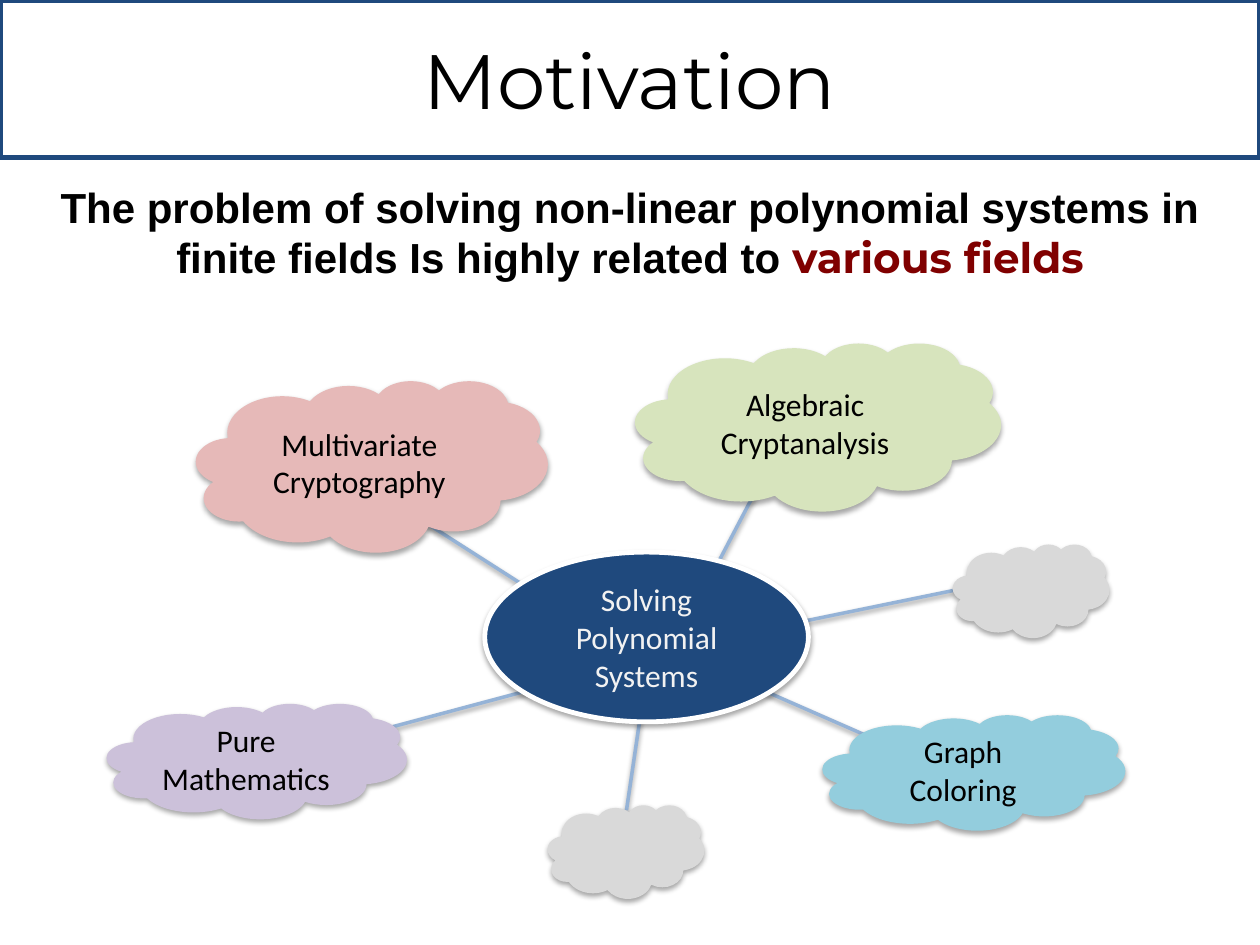
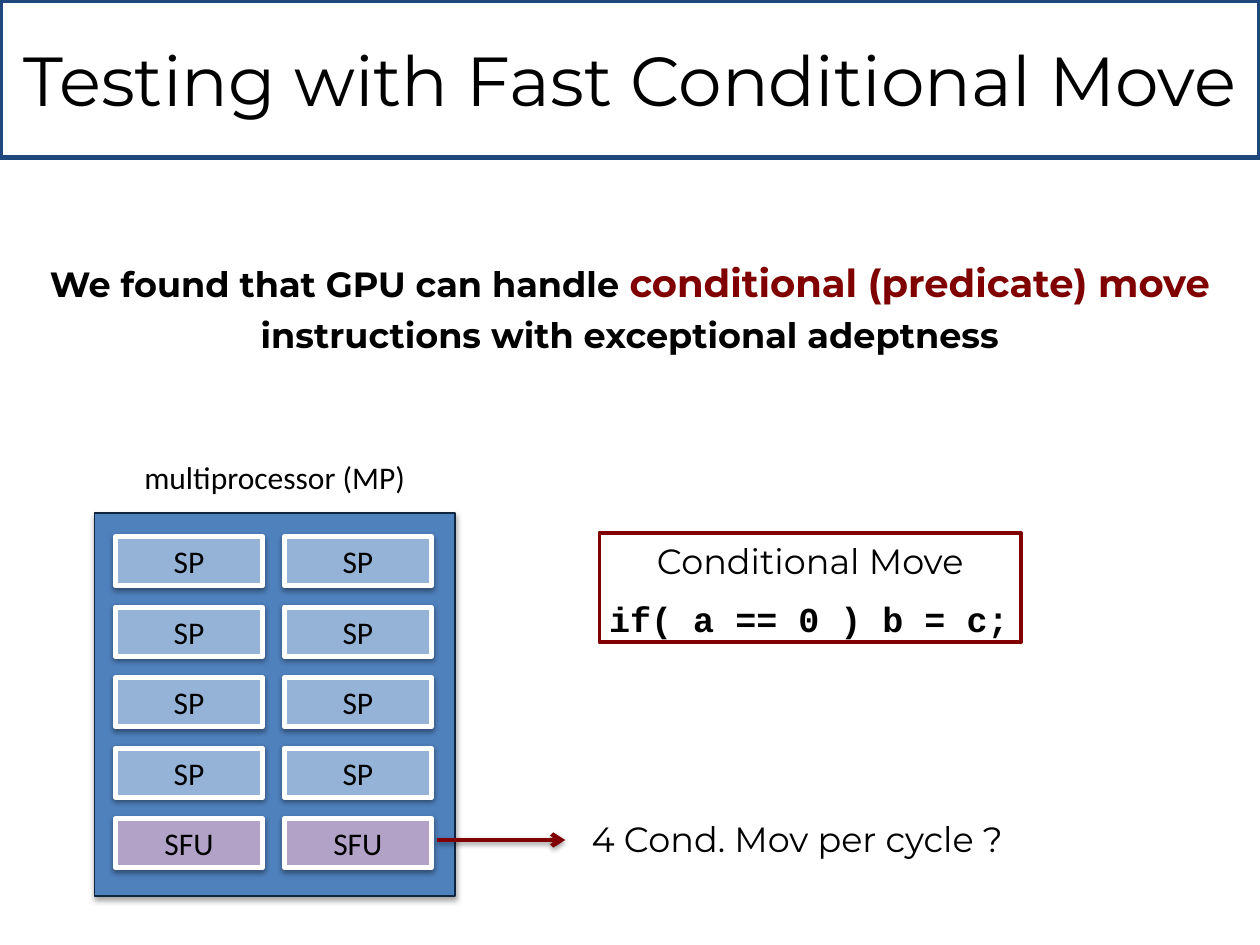
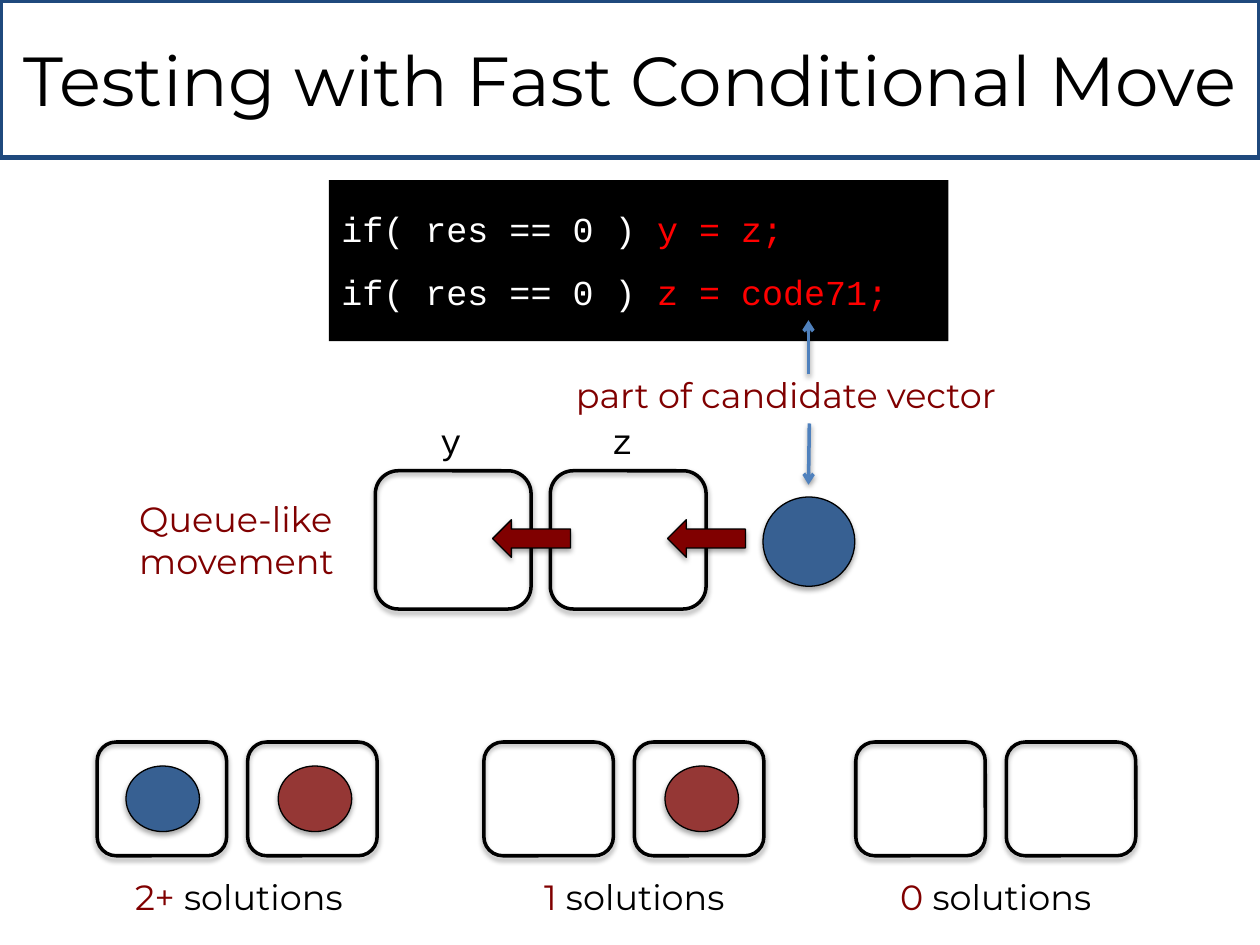
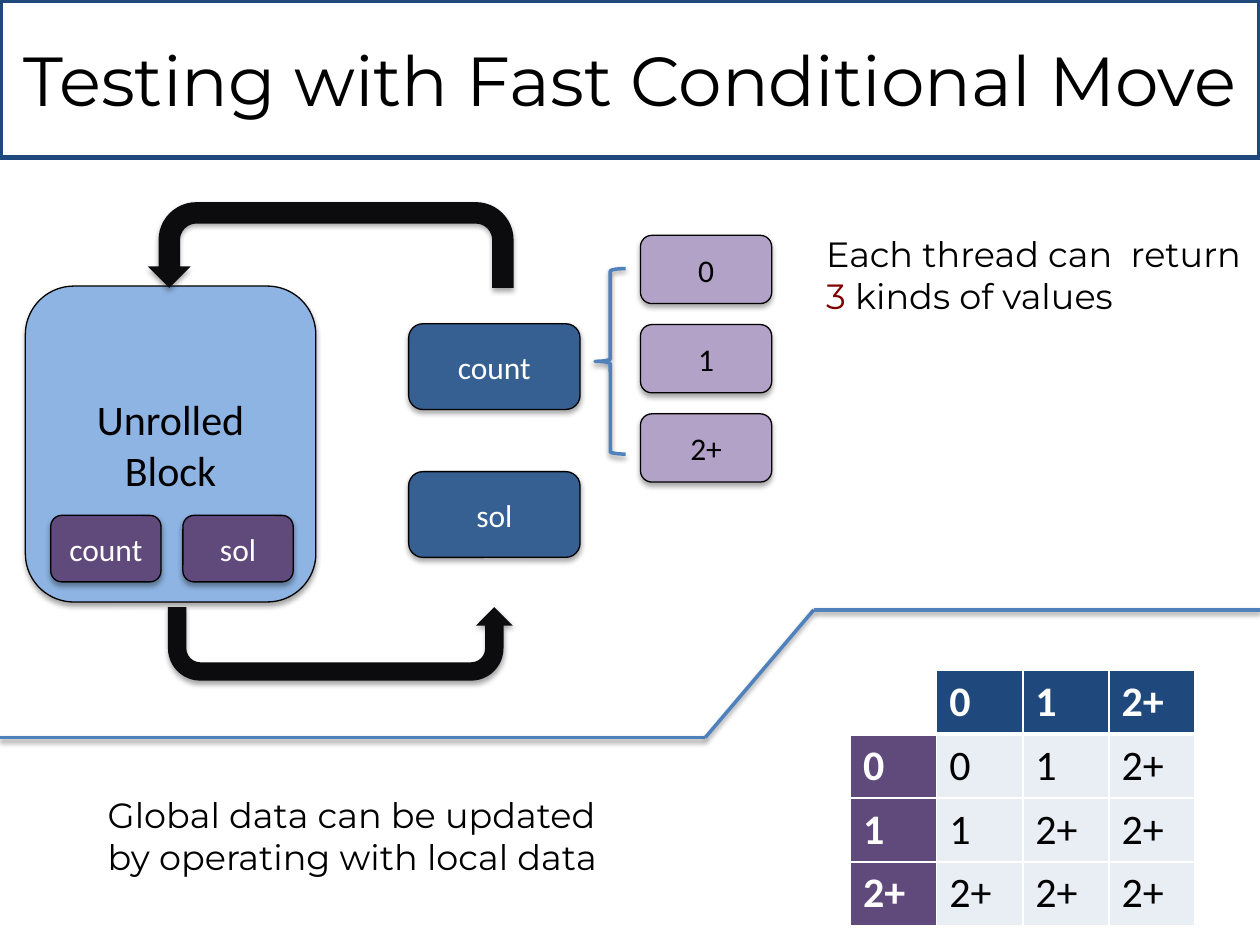
from lxml import etree
from pptx import Presentation
from pptx.dml.color import RGBColor
from pptx.enum.shapes import MSO_CONNECTOR, MSO_SHAPE
from pptx.enum.text import MSO_ANCHOR, PP_ALIGN
from pptx.oxml.ns import qn
from pptx.util import Pt

RECT, ROUND = MSO_SHAPE.RECTANGLE, MSO_SHAPE.ROUNDED_RECTANGLE
OVAL, CLOUD = MSO_SHAPE.OVAL, MSO_SHAPE.CLOUD
LEFT_ARROW, UTURN = MSO_SHAPE.LEFT_ARROW, MSO_SHAPE.U_TURN_ARROW
BRACE, STRAIGHT = MSO_SHAPE.LEFT_BRACE, MSO_CONNECTOR.STRAIGHT
TOP, MIDDLE = MSO_ANCHOR.TOP, MSO_ANCHOR.MIDDLE
LEFT, CENTER = PP_ALIGN.LEFT, PP_ALIGN.CENTER

# Shared colours
BLACK, WHITE, NAVY, MAROON = "000000", "FFFFFF", "1F497D", "800000"
BLUE, MID_BLUE, PALE_BLUE = "4F81BD", "376092", "95B3D7"
LILAC, PURPLE, BRICK, GREY = "B3A2C7", "604A7B", "953735", "D9D9D9"

# Shared text formats
BODY = {"name": "Montserrat", "size": Pt(20), "color": BLACK}
LABEL = {"name": "Calibri", "size": Pt(18), "color": BLACK}
CODE = {"name": "Courier New", "size": Pt(20), "color": BLACK}
RED = {"color": MAROON}
ON_DARK = LABEL | {"color": WHITE}

# Shadow opacity in percent and distance in points
SHAPE_SHADOW, LINE_SHADOW = (35, 1.8), (38, 1.6)


def rgb(value):
    return RGBColor.from_string(value)


def sub(parent, tag, **attrs):
    return etree.SubElement(parent, qn(tag), {k: str(v) for k, v in attrs.items()})


def cast_shadow(shape, look):
    """Call after the line is set, so that the effects follow it."""
    alpha, dist = look
    effects = sub(shape._element.spPr, "a:effectLst")
    shadow = sub(effects, "a:outerShdw", blurRad=Pt(3.1), dist=Pt(dist),
                 dir=5400000, rotWithShape=0)
    sub(sub(shadow, "a:srgbClr", val=BLACK), "a:alpha", val=alpha * 1000)


def set_font(font, fmt):
    for key, value in fmt.items():
        if key == "color":
            font.color.rgb = rgb(value)
        else:
            setattr(font, key, value)


def write(tf, paras, fmt, align=CENTER, anchor=MIDDLE, spacing=None):
    """paras is a text, or a list of paragraphs made of (text, changes) runs."""
    if isinstance(paras, str):
        paras = [[(paras, {})]]
    tf.word_wrap, tf.vertical_anchor = True, anchor
    for i, runs in enumerate(paras):
        p = tf.add_paragraph() if i else tf.paragraphs[0]
        p.alignment = align
        if spacing:
            p.line_spacing = spacing
        for text, changes in runs:
            r = p.add_run()
            r.text = text
            set_font(r.font, fmt | changes)


def at(box, left, top, width, height):
    """Place a part relative to the left top corner of a box."""
    return box[0] + left, box[1] + top, width, height


def add_text(s, box, paras, fmt=BODY, align=LEFT, spacing=None):
    sp = s.shapes.add_textbox(*map(Pt, box))
    write(sp.text_frame, paras, fmt, align, TOP, spacing)


def add_part(s, kind, box, fill=None, line=None, weight=0.75, text=None,
             fmt=LABEL, shadow=SHAPE_SHADOW, **layout):
    sp = s.shapes.add_shape(kind, *map(Pt, box))
    if fill:
        sp.fill.solid()
        sp.fill.fore_color.rgb = rgb(fill)
    else:
        sp.fill.background()
    if line:
        sp.line.color.rgb = rgb(line)
        sp.line.width = Pt(weight)
    else:
        sp.line.fill.background()
    if shadow:
        cast_shadow(sp, shadow)
    else:
        sp.shadow.inherit = False
    if text:
        write(sp.text_frame, text, fmt, **layout)
    return sp


def add_line(s, box, start, end, color=BLUE, weight=2, arrow=False):
    x, y = box[:2]
    ends = (x + start[0], y + start[1], x + end[0], y + end[1])
    cn = s.shapes.add_connector(STRAIGHT, *map(Pt, ends))
    cn.line.color.rgb = rgb(color)
    cn.line.width = Pt(weight)
    if arrow:
        sub(cn.line._get_or_add_ln(), "a:tailEnd", type="arrow")
    cast_shadow(cn, LINE_SHADOW)


def new_slide(prs, title, size):
    s = prs.slides.add_slide(prs.slide_layouts[6])
    add_part(s, RECT, (0, 0, 720, 90), line=NAVY, weight=3, text=title,
             fmt=BODY | {"size": Pt(size)}, shadow=None)
    return s


# Motivation: hub with clouds
def topic_map(s, box):
    spokes = [((379, 69), (341, 141.5)), ((171, 95.5), (243, 141.5)),
              ((127, 229), (243, 198)), ((483.5, 246), (374, 198)),
              ((483.5, 141.5), (352, 168.5)), ((308.5, 189), (297, 267))]
    for start, end in spokes:
        add_line(s, box, start, end, PALE_BLUE)
    clouds = [("Multivariate Cryptography", "E6B9B8", (51, 21.5, 201, 98)),
              ("Algebraic Cryptanalysis", "D7E4BD", (302, 0, 209, 96)),
              ("Graph Coloring", "93CDDD", (409, 212.5, 173, 66)),
              ("Pure Mathematics", "CCC1DA", (0, 206, 171.5, 66)),
              (None, GREY, (252, 264, 89.5, 53.5)),
              (None, GREY, (483.5, 115, 89.5, 53.5))]
    for text, fill, place in clouds:
        add_part(s, CLOUD, at(box, *place), fill, text=text)
    add_part(s, OVAL, at(box, 216, 119.5, 185, 97), NAVY, WHITE, 2.75,
             "Solving Polynomial Systems", LABEL | {"color": "F2F2F2"})


def motivation_slide(prs):
    s = new_slide(prs, "Motivation", 44)
    add_text(s, (0, 100, 720, 65.5), [[
        ("The problem of solving non-linear polynomial systems in finite fields "
         "Is highly related to ", {"name": "Arial"}),
        ("various fields", RED)]], BODY | {"size": Pt(24), "bold": True}, CENTER)
    topic_map(s, (61, 196, 582, 318))


# Conditional move: processor grid and instruction
def multiprocessor(s, box):
    add_text(s, at(box, 0, -35, 206, 29), "multiprocessor (MP)", LABEL, CENTER)
    add_part(s, RECT, box, BLUE, "0F243E", 1)
    for row in range(5):
        name, fill = ("SFU", LILAC) if row == 4 else ("SP", PALE_BLUE)
        for col in range(2):
            add_part(s, RECT, at(box, 12 + 96.5 * col, 13.7 + 40.3 * row, 84, 28),
                     fill, WHITE, 3, name, shadow=LINE_SHADOW)
    add_line(s, box, (196, 187), (269, 187), MAROON, 2.5, arrow=True)
    add_text(s, at(box, 277, 170.5, 344, 32), "4 Cond. Mov per cycle ?")


def instruction(s, box):
    add_part(s, RECT, at(box, -1.5, 21.5, 250, 42), WHITE, text="if( a == 0 ) b = c;",
             fmt=CODE | {"bold": True}, shadow=None, align=LEFT, anchor=TOP, spacing=1.5)
    add_part(s, RECT, box, line=MAROON, weight=2, text="Conditional Move",
             fmt=BODY, shadow=None, anchor=TOP)


def instruction_slide(prs, title):
    s = new_slide(prs, title, 39.6)
    add_text(s, (0, 139, 720, 68), [[
        ("We found that GPU can handle ", {}),
        ("conditional (predicate) move ", RED | {"size": Pt(22)}),
        ("instructions with exceptional adeptness", {})]],
        BODY | {"bold": True}, CENTER, 1.2)
    multiprocessor(s, (54, 293, 206, 219))
    instruction(s, (342.5, 304.5, 241, 62.5))


# Queue: code, movement and outcomes
def code_block(s, box):
    lines = [[("if( res == 0 ) ", {}), (result, {"color": "FF0000"})]
             for result in ("y = z;", "z = code71;")]
    add_part(s, RECT, box, BLACK, text=lines, fmt=CODE | {"color": WHITE},
             shadow=None, align=LEFT, anchor=TOP, spacing=1.5)
    add_text(s, at(box, 134, 107, 358, 32), "part of candidate vector", BODY | RED)
    add_line(s, box, (274, 111), (274, 80), arrow=True)
    add_line(s, box, (274.5, 139), (274, 174), arrow=True)


def queue(s, box):
    for i, name in enumerate("yz"):
        add_part(s, ROUND, at(box, 100 * i, 0, 89, 79), line=BLACK, weight=2)
        add_text(s, at(box, 30 + 98 * i, -33, 60, 32), name, CODE)
    for i in range(2):
        add_part(s, LEFT_ARROW, at(box, 67 + 100 * i, 28, 44.5, 21.5), MAROON, BLACK)
    add_part(s, OVAL, at(box, 221.5, 15, 52.5, 51), MID_BLUE, BLACK)
    add_text(s, at(box, -142, 12, 158, 55.5),
             [[("Queue-like", {})], [("movement", {})]], BODY | RED)


def outcome(s, box, count, slots, label_left):
    for i, fill in enumerate(slots):
        add_part(s, ROUND, at(box, 86 * i, 0, 74, 65), line=BLACK, weight=2)
        if fill:
            add_part(s, OVAL, at(box, 16.5 + 87 * i, 13.7, 42, 37.5), fill, BLACK)
    add_text(s, at(box, label_left, 73, 179, 32),
             [[(count + " ", RED), ("solutions", {})]], align=CENTER)


def queue_slide(prs, title):
    s = new_slide(prs, title, 39.6)
    code_block(s, (188, 103, 354, 92))
    queue(s, (214.5, 269, 274, 79))
    outcomes = [(55.5, "2+", (MID_BLUE, BRICK), -8.5),
                (276.5, "1", (None, BRICK), -3.5),
                (489, "0", (None, None), -9.5)]
    for left, count, slots, label_left in outcomes:
        outcome(s, (left, 424, 160, 65), count, slots, label_left)


# Local and global data: loop, return values and merge table
def unrolled_block(s, box):
    add_part(s, ROUND, box, "8EB4E3", BLACK, text="Unrolled Block",
             fmt=LABEL | {"size": Pt(24)})
    for i, name in enumerate(("count", "sol")):
        add_part(s, ROUND, at(box, 14.5 + 75.5 * i, 131, 63, 38), PURPLE, BLACK,
                 text=name, fmt=ON_DARK)
        add_part(s, ROUND, at(box, 219, 21.5 + 84.5 * i, 98, 49), MID_BLUE, BLACK,
                 text=name, fmt=ON_DARK)
    for flip, place in (("flipH", (70, -48, 209, 49)),
                        ("flipV", (81.5, 183.5, 197, 42))):
        arrow = add_part(s, UTURN, at(box, *place), "0C0C0E")
        arrow.adjustments[3], arrow.adjustments[4] = 0.44, 1
        arrow._element.spPr.find(qn("a:xfrm")).set(flip, "1")


def return_values(s, box):
    add_part(s, BRACE, at(box, -26, 19, 17.5, 106), line=BLUE, weight=2,
             shadow=LINE_SHADOW)
    for i, value in enumerate(("0", "1", "2+")):
        add_part(s, ROUND, at(box, 0, 51 * i, 75, 39), LILAC, BLACK, text=value)
    add_text(s, at(box, 99, -5, 255, 80), [[
        ("Each thread can  return ", {}), ("3", RED), (" kinds of values", {})]])


def set_border(cell, side, weight):
    ln = sub(cell._tc.get_or_add_tcPr(), "a:ln" + side, w=Pt(weight))
    sub(sub(ln, "a:solidFill"), "a:srgbClr", val=WHITE)


def merge_table(s, box):
    rows = [("", "0", "1", "2+"), ("0", "0", "1", "2+"),
            ("1", "1", "2+", "2+"), ("2+", "2+", "2+", "2+")]
    table = s.shapes.add_table(4, 4, *map(Pt, box)).table
    table.horz_banding = table.first_row = False
    for i, row in enumerate(rows):
        table.rows[i].height = Pt(box[3] / 4)
        table.columns[i].width = Pt(box[2] / 4)
        for j, value in enumerate(row):
            cell = table.cell(i, j)
            for side in "LRTB":
                near_header = (side, i) in (("B", 0), ("T", 1))
                set_border(cell, side, 3 if near_header else 1)
            head = i == 0 or j == 0
            if value:
                cell.fill.solid()
                fill = NAVY if i == 0 else PURPLE if j == 0 else "E9EDF4"
                cell.fill.fore_color.rgb = rgb(fill)
                write(cell.text_frame, value, LABEL | {
                    "size": Pt(24), "bold": head,
                    "color": WHITE if head else BLACK}, LEFT, TOP)
            else:
                cell.fill.background()


def divider(s, box):
    points = [(0, 73), (403, 73), (465, 0), (720, 0)]
    for start, end in zip(points, points[1:]):
        add_line(s, box, start, end)


def data_slide(prs, title):
    s = new_slide(prs, title, 39.6)
    unrolled_block(s, (14.5, 163.5, 166, 180.5))
    return_values(s, (366, 134.5, 75, 141))
    divider(s, (0, 348.5, 720, 73))
    merge_table(s, (486, 383, 197, 146))
    add_text(s, (54.5, 450, 410, 55.5), [
        [("Global data can be updated", {})], [("by operating with local data", {})]])


def main():
    prs = Presentation()
    prs.slide_width, prs.slide_height = Pt(720), Pt(540)
    motivation_slide(prs)
    for build in (instruction_slide, queue_slide, data_slide):
        build(prs, "Testing with Fast Conditional Move")
    prs.save("out.pptx")


if __name__ == "__main__":
    main()
